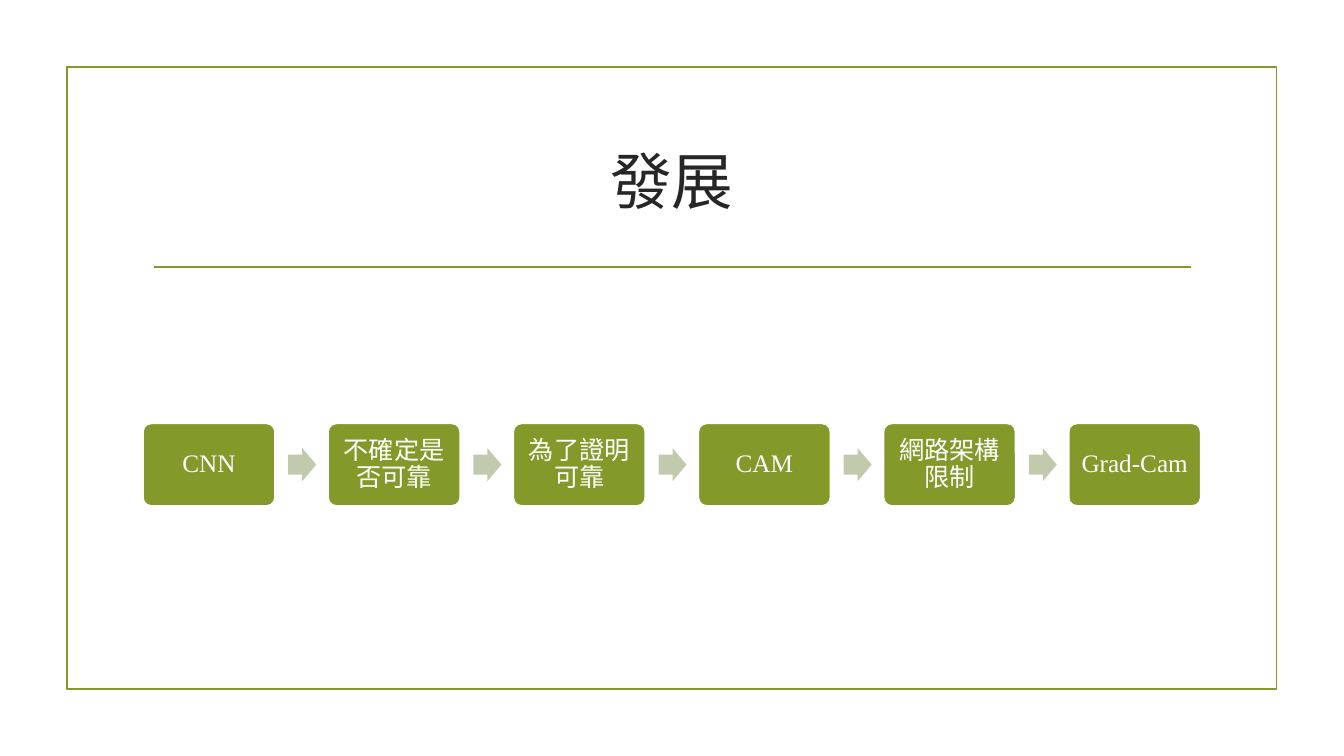
from pptx import Presentation
from pptx.dml.color import RGBColor
from pptx.enum.shapes import MSO_CONNECTOR, MSO_SHAPE as Shape
from pptx.enum.text import MSO_ANCHOR, PP_ALIGN
from pptx.oxml.ns import qn
from pptx.util import Pt
from lxml.etree import SubElement

GREEN = RGBColor(0x83, 0x99, 0x2A)
PALE_GREEN = RGBColor(0xC1, 0xCA, 0xAD)
DARK = RGBColor(0x26, 0x26, 0x26)
WHITE = RGBColor(0xFF, 0xFF, 0xFF)
FONT = "Times New Roman"
LINE_WIDTH = 1.25

STEPS = ["CNN", "不確定是否可靠", "為了證明可靠", "CAM", "網路架構限制", "Grad-Cam"]
STEP_LEFT, STEP_TOP, STEP_WIDTH, STEP_HEIGHT = 102.1, 302.4, 94.4, 59
STEP_PITCH = 132.25
ARROW_WIDTH, ARROW_HEIGHT = 20, 23.6
ARROW_OFFSET = 103.8


def write(shape, text, size, color, inset=5, spacing=1.0):
    """Fill a shape with one centred paragraph."""
    frame = shape.text_frame
    frame.word_wrap = True
    frame.vertical_anchor = MSO_ANCHOR.MIDDLE
    frame.margin_left = frame.margin_right = Pt(inset)
    frame.margin_top = frame.margin_bottom = Pt(inset)
    paragraph = frame.paragraphs[0]
    paragraph.alignment = PP_ALIGN.CENTER
    paragraph.line_spacing = spacing
    run = paragraph.add_run()
    run.text = text
    run.font.name = FONT
    run.font.size = Pt(size)
    run.font.color.rgb = color


def add_block(slide, kind, left, top, width, height, fill=None, line=None, adjust=()):
    block = slide.shapes.add_shape(kind, Pt(left), Pt(top), Pt(width), Pt(height))
    block.shadow.inherit = False
    for index, value in enumerate(adjust):
        block.adjustments[index] = value
    if fill is None:
        block.fill.background()
    else:
        block.fill.solid()
        block.fill.fore_color.rgb = fill
    if line is None:
        block.line.fill.background()
    else:
        block.line.color.rgb = line
        block.line.width = Pt(LINE_WIDTH)
    return block


def add_rule(slide, left, right, y):
    rule = slide.shapes.add_connector(MSO_CONNECTOR.STRAIGHT, Pt(left), Pt(y), Pt(right), Pt(y))
    rule.line.color.rgb = GREEN
    rule.line.width = Pt(LINE_WIDTH)
    SubElement(rule._element.spPr, qn("a:effectLst"))


def add_title(slide, text):
    title = slide.shapes.add_textbox(Pt(102), Pt(77), Pt(756), Pt(103))
    write(title, text, size=44, color=DARK)


def add_process(slide, steps):
    """Draw the steps in a row with an arrow between neighbours."""
    arrow_top = STEP_TOP + (STEP_HEIGHT - ARROW_HEIGHT) / 2
    for index, text in enumerate(steps):
        left = STEP_LEFT + index * STEP_PITCH
        step = add_block(slide, Shape.ROUNDED_RECTANGLE, left, STEP_TOP, STEP_WIDTH,
                         STEP_HEIGHT, fill=GREEN, line=WHITE, adjust=[0.1])
        write(step, text, size=18, color=WHITE, spacing=0.9)
        if index < len(steps) - 1:
            add_block(slide, Shape.RIGHT_ARROW, left + ARROW_OFFSET, arrow_top,
                      ARROW_WIDTH, ARROW_HEIGHT, fill=PALE_GREEN, adjust=[0.6, 0.5])


def main():
    deck = Presentation()
    deck.slide_width, deck.slide_height = Pt(960), Pt(540)
    slide = deck.slides.add_slide(deck.slide_layouts[6])
    add_block(slide, Shape.RECTANGLE, 47.8, 48, 864, 444, line=GREEN)
    add_rule(slide, 110, 850.5, 190.8)
    add_title(slide, "發展")
    add_process(slide, STEPS)
    deck.save("out.pptx")


if __name__ == "__main__":
    main()
